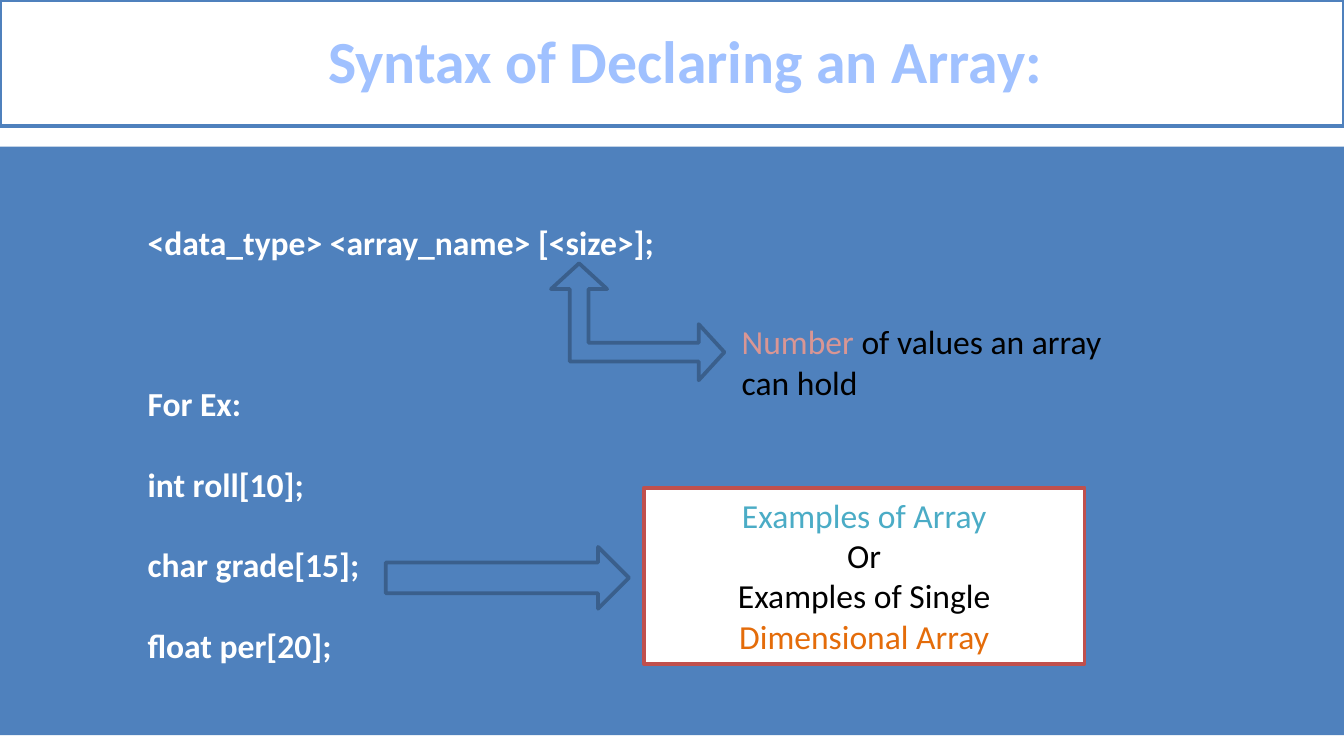
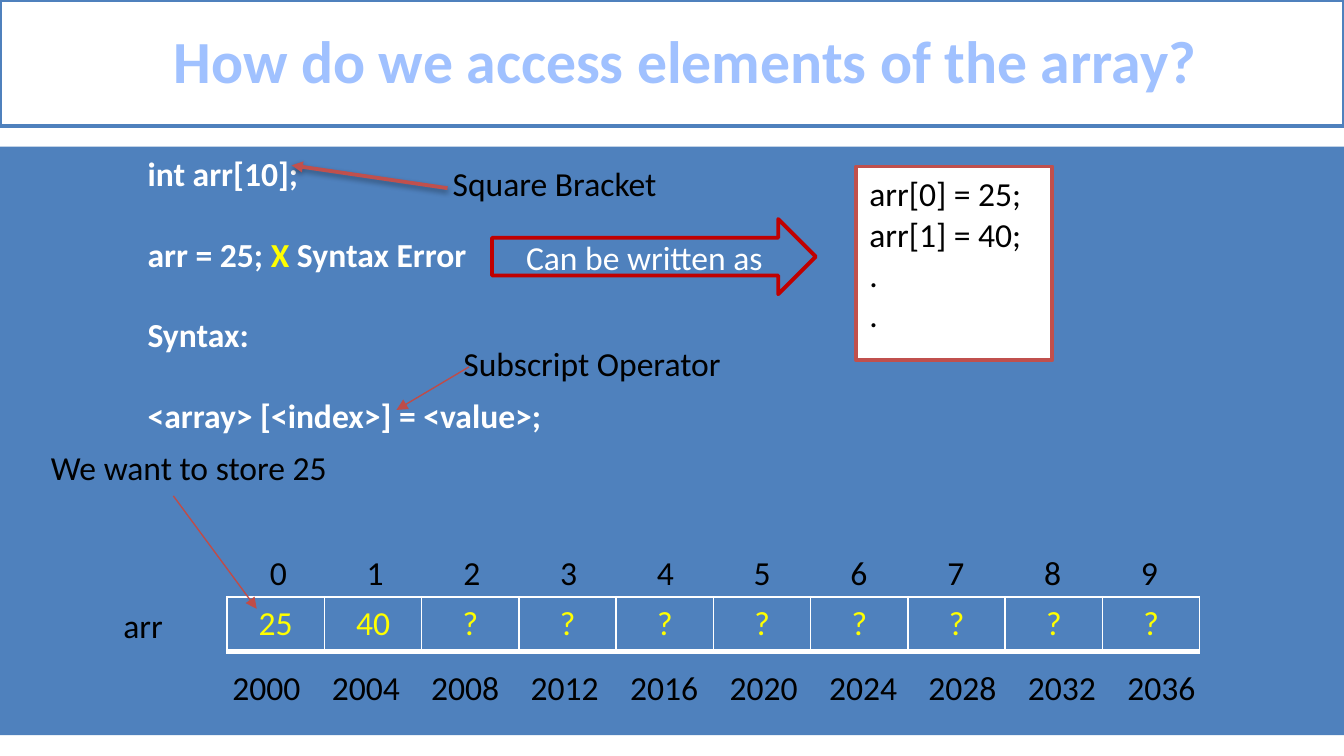
from lxml.etree import SubElement
from pptx import Presentation
from pptx.dml.color import RGBColor
from pptx.enum.shapes import MSO_CONNECTOR, MSO_SHAPE
from pptx.enum.text import MSO_ANCHOR, MSO_AUTO_SIZE, PP_ALIGN
from pptx.oxml.ns import qn
from pptx.util import Inches, Pt

FONT = "Calibri"
BODY_SIZE = 18
BLANK_LINE = 21.6  # points taken by one empty line of body text
COLORS = {
    "blue": "4F81BD",
    "dark_blue": "3A5F8C",
    "title": "A0C1FF",
    "white": "FFFFFF",
    "black": "000000",
    "red": "C0504D",
    "thin_red": "BF4C48",
    "deep_red": "C00000",
    "pink": "D99694",
    "aqua": "4BACC6",
    "orange": "E46C0A",
    "yellow": "FFFF00",
}


def rgb(name):
    return RGBColor.from_string(COLORS[name])


def write(frame, lines, color="black", size=BODY_SIZE, bold=False, align=PP_ALIGN.LEFT):
    """Each line is a string or a list of (text, colour) parts."""
    for number, line in enumerate(lines):
        paragraph = frame.paragraphs[0] if number == 0 else frame.add_paragraph()
        paragraph.alignment = align
        parts = [(line, color)] if isinstance(line, str) else line
        for text, part_color in parts:
            run = paragraph.add_run()
            run.text = text
            run.font.name = FONT
            run.font.size = Pt(size)
            run.font.bold = bold
            run.font.color.rgb = rgb(part_color)


def add_block(slide, kind, box, fill="blue", outline=None):
    block = slide.shapes.add_shape(kind, *map(Inches, box))
    block.shadow.inherit = False
    block.fill.solid()
    block.fill.fore_color.rgb = rgb(fill)
    if outline:
        block.line.color.rgb = rgb(outline)
        block.line.width = Pt(2)
    else:
        block.line.fill.background()
    return block


def add_note(slide, box, lines, align=PP_ALIGN.LEFT):
    note = add_block(slide, MSO_SHAPE.RECTANGLE, box, "white", "red")
    note.text_frame.vertical_anchor = MSO_ANCHOR.TOP
    write(note.text_frame, lines, align=align)


def add_label(slide, box, lines, wrap=False):
    frame = slide.shapes.add_textbox(*map(Inches, box)).text_frame
    frame.word_wrap = wrap
    frame.auto_size = MSO_AUTO_SIZE.SHAPE_TO_FIT_TEXT
    write(frame, lines)


def add_code(slide, top, height, lines, blanks_before):
    """Bold indented statements; blanks_before maps a line to its gap in lines."""
    frame = slide.shapes.add_textbox(
        Inches(0), Inches(top), Inches(10), Inches(height)).text_frame
    frame.word_wrap = True
    write(frame, lines, "white", bold=True)
    for number, paragraph in enumerate(frame.paragraphs):
        paragraph.level = 2
        properties = paragraph._p.get_or_add_pPr()
        properties.set("marL", str(Inches(1)))
        properties.set("indent", "0")
        if number:
            paragraph.space_before = Pt(BLANK_LINE * blanks_before.get(number, 1))


def add_pointer(slide, start, end, color="thin_red", width=0.75, shadow=False):
    pointer = slide.shapes.add_connector(
        MSO_CONNECTOR.STRAIGHT, *map(Inches, start + end))
    pointer.line.color.rgb = rgb(color)
    pointer.line.width = Pt(width)
    properties = pointer._element.spPr
    SubElement(properties.find(qn("a:ln")), qn("a:tailEnd"), type="triangle")
    effects = SubElement(properties, qn("a:effectLst"))
    if shadow:
        outer = SubElement(effects, qn("a:outerShdw"), blurRad=str(Pt(3.1)),
                           dist=str(Pt(1.6)), dir="5400000", rotWithShape="0")
        shade = SubElement(outer, qn("a:srgbClr"), val=COLORS["black"])
        SubElement(shade, qn("a:alpha"), val="38000")


def set_borders(cell):
    properties = cell._tc.get_or_add_tcPr()
    for side, width in (("lnL", 1), ("lnR", 1), ("lnT", 1), ("lnB", 3)):
        border = SubElement(properties, qn(f"a:{side}"), w=str(Pt(width)))
        fill = SubElement(border, qn("a:solidFill"))
        SubElement(fill, qn("a:srgbClr"), val=COLORS["white"])


def add_array(slide, box, values):
    left, top, width, height = map(Inches, box)
    array = slide.shapes.add_table(1, len(values), left, top, width, height).table
    for column, value in enumerate(values):
        array.columns[column].width = width // len(values)
        cell = array.cell(0, column)
        set_borders(cell)
        cell.fill.solid()
        cell.fill.fore_color.rgb = rgb("blue")
        write(cell.text_frame, [value], "yellow", align=PP_ALIGN.CENTER)


def add_titled_slide(deck, title):
    slide = deck.slides.add_slide(deck.slide_layouts[6])
    add_block(slide, MSO_SHAPE.RECTANGLE, (0, 1.09, 10, 4.38))
    heading = add_block(slide, MSO_SHAPE.RECTANGLE, (0, 0, 10, 0.94), "white", "blue")
    heading.text_frame.margin_left = Inches(0.3)
    write(heading.text_frame, [title], "title", 32, True, PP_ALIGN.CENTER)
    heading.text_frame.paragraphs[0].line_spacing = 0.96
    return slide


def build_syntax_slide(deck):
    slide = add_titled_slide(deck, "Syntax of Declaring an Array:")
    add_code(slide, 1.6, 3.94, [
        "<data_type> <array_name> [<size>];",
        "For Ex:",
        "int roll[10];",
        "char grade[15];",
        "float per[20];",
    ], {1: 3})
    add_label(slide, (5.42, 2.34, 3.28, 0.71), [
        [("Number", "pink"), (" of values an array", "black")],
        "can hold",
    ], wrap=True)
    add_note(slide, (4.79, 3.63, 3.28, 1.31), [
        [("Examples of Array", "aqua")],
        "Or",
        "Examples of Single",
        [("Dimensional Array", "orange")],
    ], PP_ALIGN.CENTER)
    add_block(slide, MSO_SHAPE.RIGHT_ARROW, (2.87, 4.07, 1.81, 0.46),
              outline="dark_blue")

    # Bent arrow between the size and its meaning
    size_arrow = add_block(slide, MSO_SHAPE.LEFT_UP_ARROW, (4.1, 1.96, 1.29, 0.87),
                           outline="dark_blue")
    for number, value in enumerate((0.16, 0.24, 0.22)):
        size_arrow.adjustments[number] = value
    size_arrow._element.spPr.find(qn("a:xfrm")).set("flipH", "1")


def build_access_slide(deck):
    slide = add_titled_slide(deck, "How do we access elements of the array?")
    add_code(slide, 1.09, 2.83, [
        "int arr[10];",
        [("arr = 25; ", "white"), ("X", "yellow"), (" Syntax Error", "white")],
        "Syntax:",
        "<array> [<index>] = <value>;",
    ], {})
    add_note(slide, (6.37, 1.24, 1.46, 1.44),
             ["arr[0] = 25;", "arr[1] = 40;", ".", "."])
    rewrite_arrow = add_block(slide, MSO_SHAPE.RIGHT_ARROW, (3.66, 1.63, 2.41, 0.56),
                              outline="deep_red")
    write(rewrite_arrow.text_frame, ["Can be written as"], "white",
          align=PP_ALIGN.CENTER)

    # Array with an index above and an address below each cell
    values = ["25", "40"] + ["?"] * 8
    add_array(slide, (1.69, 4.44, 7.24, 0.41), values)
    add_label(slide, (0.82, 4.45, 0.5, 0.4), ["arr"])
    for index in range(len(values)):
        add_label(slide, (1.91 + 0.72 * index, 4.06, 0.33, 0.4), [str(index)])
        add_label(slide, (1.63 + 0.74 * index, 4.91, 0.71, 0.4),
                  [str(2000 + 4 * index)])

    # Remarks and their pointers
    add_label(slide, (0.28, 3.28, 2.28, 0.4), ["We want to store 25"])
    add_pointer(slide, (1.29, 3.69), (1.91, 4.53))
    add_label(slide, (3.35, 2.5, 2.14, 0.4), ["Subscript Operator"])
    add_label(slide, (3.27, 1.16, 1.74, 0.4), ["Square Bracket"])
    add_pointer(slide, (3.33, 1.4), (2.17, 1.23), "red", 2, shadow=True)
    add_pointer(slide, (3.49, 2.73), (2.95, 3.05))


def main():
    deck = Presentation()
    deck.slide_width = Inches(10)
    deck.slide_height = Inches(10) * 9 // 16
    build_syntax_slide(deck)
    build_access_slide(deck)
    deck.save("out.pptx")


if __name__ == "__main__":
    main()
